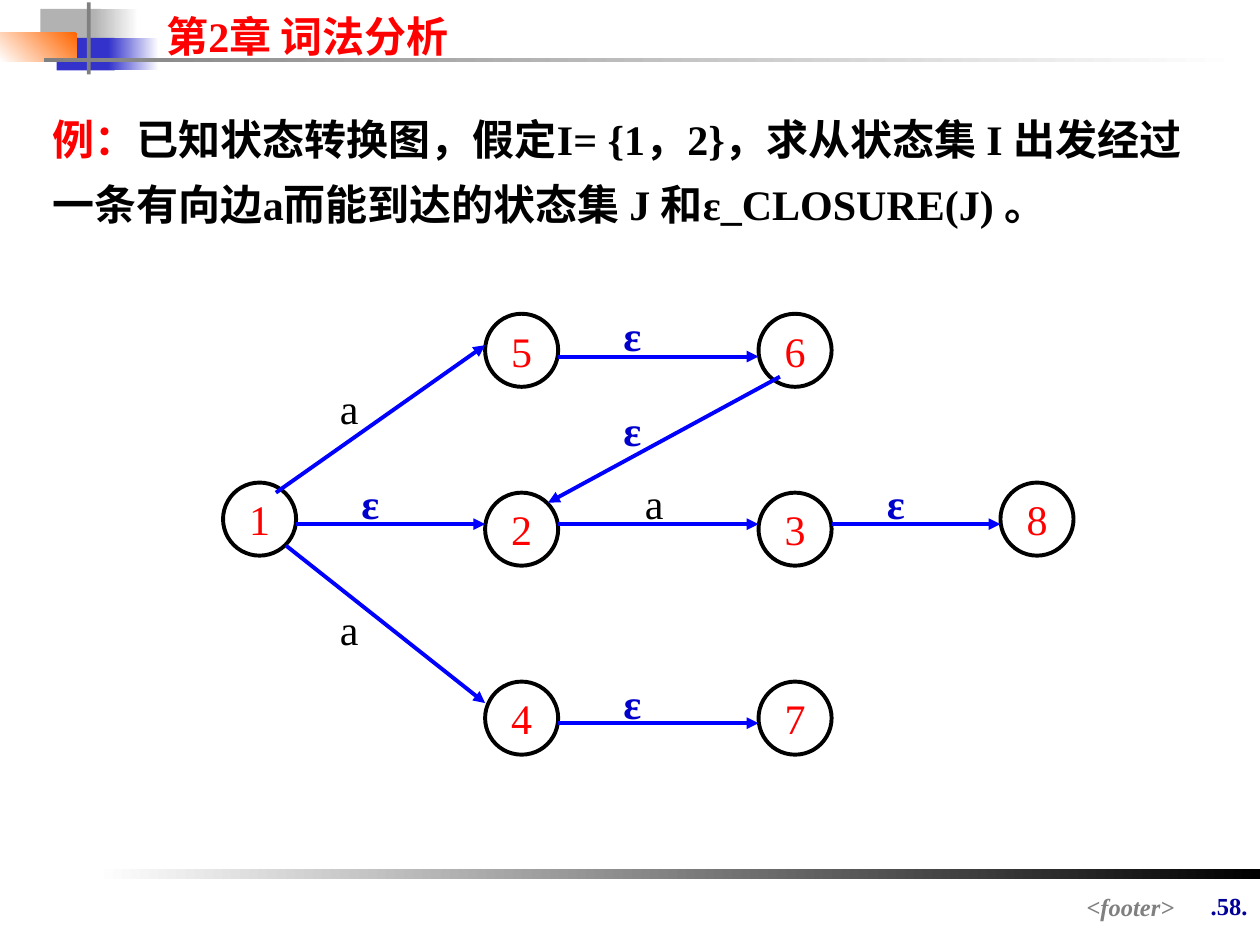
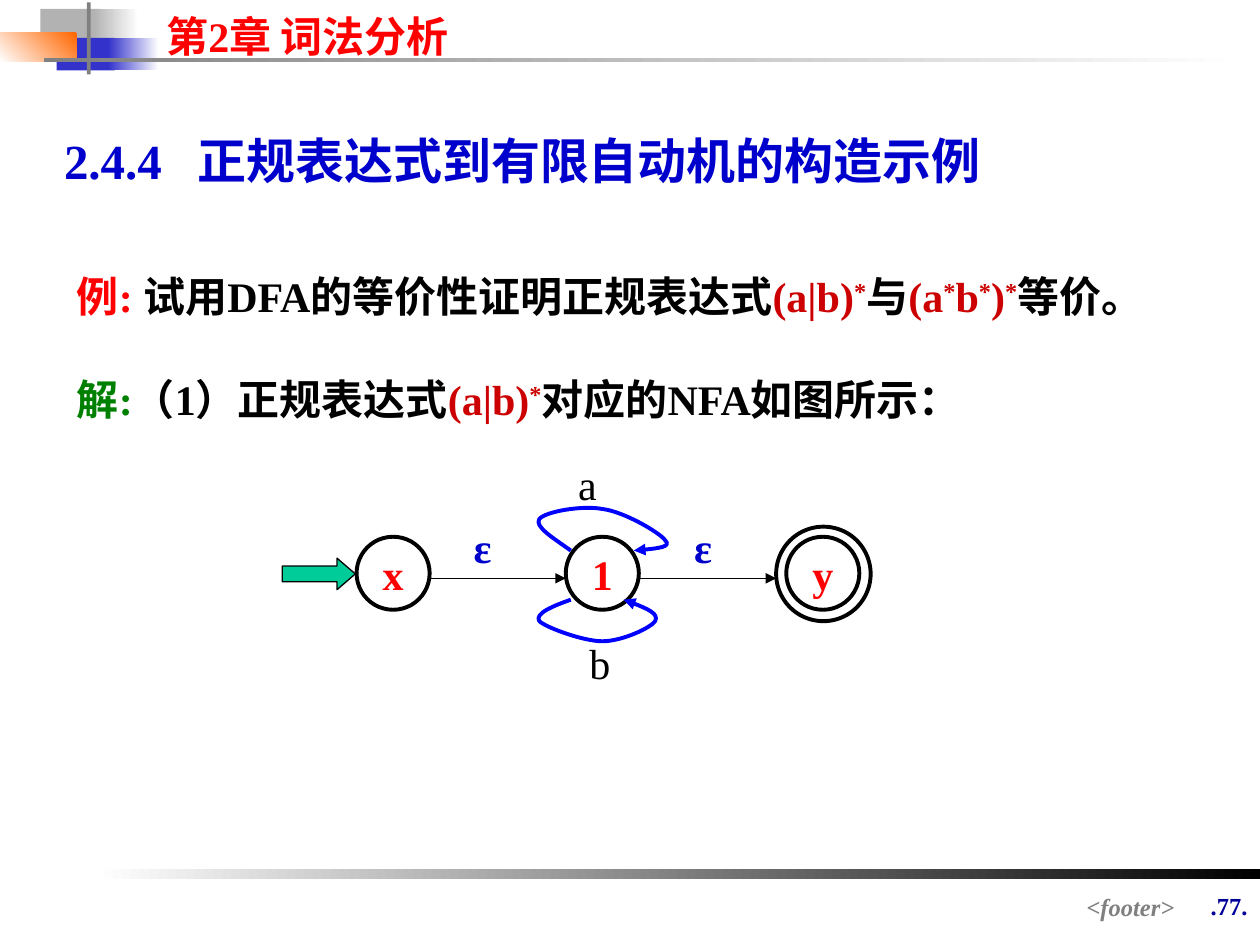
from itertools import groupby

from lxml.etree import SubElement
from pptx import Presentation
from pptx.dml.color import RGBColor
from pptx.enum.shapes import MSO_CONNECTOR, MSO_SHAPE
from pptx.enum.text import MSO_ANCHOR, MSO_AUTO_SIZE, PP_ALIGN
from pptx.oxml.ns import qn
from pptx.util import Inches, Pt

FONT = "Times New Roman"
COLORS = {
    "black": "000000", "white": "FFFFFF", "red": "FF0000", "regex": "CC0000",
    "green": "008000", "edge": "0000FF", "heading": "0000CC", "number": "000099",
    "grey": "808080", "silver": "B2B2B2", "indigo": "3333CC",
    "orange": "FF6600", "start": "00CC99",
}
NODE = 0.58  # diameter of a state

# left, top, width, height, then one or two colours and the gradient angle
BANDS = [
    (0.32, 0.07, 0.48, 0.26, "silver"),
    (0.74, 0.07, 0.36, 0.26, "white", "silver", 180),
    (0.45, 0.3, 0.46, 0.26, "indigo"),
    (0.86, 0.3, 0.4, 0.26, "white", "indigo", 180),
    (0, 0.26, 0.61, 0.23, "orange", "white", 225),
    (0.69, 0.02, 0.03, 0.57, "grey"),
    (0.35, 0.46, 9.51, 0.03, "white", "grey", 180),
    (0.75, 6.9, 9.25, 0.08, "black", "white", 180),
]


def color(name):
    return RGBColor.from_string(COLORS[name])


def write(para, text, fill="black", size=24, bold=False, italic=False, raised=False):
    """Append one formatted span to a paragraph."""
    span = para.add_run()
    span.text = text
    font = span.font
    font.name, font.size, font.bold, font.italic = FONT, Pt(size), bold, italic
    font.color.rgb = color(fill)
    if raised:
        span.font._element.set("baseline", "30000")


def write_regex(para, expression):
    """Write a regular expression with its stars raised."""
    for is_star, letters in groupby(expression, lambda letter: letter == "*"):
        write(para, "".join(letters), fill="regex", bold=True, raised=is_star)


def add_text(page, text, left, top, width, height, align=PP_ALIGN.LEFT, wrap=True, **style):
    box = page.shapes.add_textbox(Inches(left), Inches(top), Inches(width), Inches(height))
    box.text_frame.word_wrap = wrap
    para = box.text_frame.paragraphs[0]
    para.alignment = align
    write(para, text, **style)
    return para


def place(holder, left, top, width, height):
    """Move a placeholder and return its text frame, set plain."""
    holder.left, holder.top = Inches(left), Inches(top)
    holder.width, holder.height = Inches(width), Inches(height)
    frame = holder.text_frame
    frame.word_wrap = True
    frame.auto_size = MSO_AUTO_SIZE.NONE
    frame.vertical_anchor = MSO_ANCHOR.TOP
    return frame


def plain_paragraph(para, space_before=0, line_spacing=1.0):
    """Drop the bullet and indent of a body paragraph."""
    properties = para._p.get_or_add_pPr()
    properties.set("marL", "0")
    properties.set("indent", "0")
    SubElement(properties, qn("a:buNone"))
    para.alignment = PP_ALIGN.LEFT
    para.space_before = Pt(space_before)
    para.line_spacing = line_spacing
    return para


def add_shape(page, kind, left, top, width, height):
    shape = page.shapes.add_shape(
        kind, Inches(left), Inches(top), Inches(width), Inches(height))
    shape.shadow.inherit = False
    return shape


def set_line(line, name, width):
    line.color.rgb = color(name)
    line.width = Pt(width)


def add_arrowhead(line):
    SubElement(line._get_or_add_ln(), qn("a:tailEnd"), type="triangle")


def add_band(page, left, top, width, height, first, last=None, angle=0):
    band = add_shape(page, MSO_SHAPE.RECTANGLE, left, top, width, height)
    band.line.fill.background()
    if last is None:
        band.fill.solid()
        band.fill.fore_color.rgb = color(first)
        return
    band.fill.gradient()
    band.fill.gradient_angle = angle
    for stop, name in zip(band.fill.gradient_stops, (first, last)):
        stop.color.rgb = color(name)


def add_ring(page, left, top, diameter):
    ring = add_shape(page, MSO_SHAPE.OVAL, left, top, diameter, diameter)
    ring.fill.background()
    set_line(ring.line, "black", 2.25)
    return ring


def add_state(page, name, left, top, bold=False):
    frame = add_ring(page, left, top, NODE).text_frame
    frame.word_wrap = False
    para = frame.paragraphs[0]
    para.alignment = PP_ALIGN.CENTER
    write(para, name, fill="red", bold=bold)


def add_edge(page, start, end, fill="edge", width=2.25):
    edge = page.shapes.add_connector(
        MSO_CONNECTOR.STRAIGHT, *(Inches(value) for value in start + end))
    set_line(edge.line, fill, width)
    add_arrowhead(edge.line)
    SubElement(edge._element.spPr, qn("a:effectLst"))


def add_loop(page, start, *points):
    """Draw an arrow of cubic curves: two handles and an anchor for each."""
    builder = page.shapes.build_freeform(Inches(start[0]), Inches(start[1]))
    builder.add_line_segments([(Inches(x), Inches(y)) for x, y in points], close=False)
    loop = builder.convert_to_shape()
    segments = list(loop._element.iter(qn("a:lnTo")))
    outline = segments[0].getparent()
    for index in range(0, len(segments), 3):
        curve = SubElement(outline, qn("a:cubicBezTo"))
        for segment in segments[index:index + 3]:
            curve.append(segment[0])
            outline.remove(segment)
    loop.shadow.inherit = False
    loop.fill.background()
    set_line(loop.line, "edge", 2.25)
    add_arrowhead(loop.line)


def add_label(page, symbol, left, top, width=0.5):
    if symbol == "ε":
        add_text(page, symbol, left, top, width, 0.5, fill="heading", bold=True)
    else:
        add_text(page, symbol, left, top, width, 0.5)


def add_page(deck, number):
    """Add a slide with the shared bands, chapter title and footer."""
    page = deck.slides.add_slide(deck.slide_layouts[1])
    for band in BANDS:
        add_band(page, *band)
    title = place(page.shapes.title, 1.22, 0.03, 3.15, 0.5).paragraphs[0]
    title.alignment = PP_ALIGN.LEFT
    write(title, "第2章 词法分析", fill="red", bold=True)
    add_text(page, f".{number}.", 9.33, 7.02, 0.67, 0.57, align=PP_ALIGN.RIGHT,
             fill="number", size=14, bold=True)
    add_text(page, "<footer>", 2.64, 7.03, 6.78, 0.26, align=PP_ALIGN.RIGHT,
             fill="grey", size=14, bold=True, italic=True)
    return page


def add_closure_page(deck):
    page = add_page(deck, 58)
    body = place(page.placeholders[1], 0.32, 0.73, 9.48, 1.14)
    para = plain_paragraph(body.paragraphs[0], line_spacing=1.3)
    write(para, "例：", fill="red", bold=True)
    write(para, "已知状态转换图，假定I= {1，2}，求从状态集 I 出发经过一条有向边a"
                "而能到达的状态集 J 和ε_CLOSURE(J) 。", bold=True)

    second, third = 3.85, 6.02
    states = {
        "1": (1.77, 3.83), "5": (second, 2.49), "2": (second, 3.91), "4": (second, 5.41),
        "6": (third, 2.49), "3": (third, 3.91), "7": (third, 5.41), "8": (7.94, 3.83),
    }
    for name, corner in states.items():
        add_state(page, name, *corner)

    for source, target, height in [("1", "2", 4.16), ("2", "3", 4.16), ("3", "8", 4.16),
                                   ("5", "6", 2.83), ("4", "7", 5.74)]:
        add_edge(page, (states[source][0] + NODE, height), (states[target][0], height))
    add_edge(page, (2.19, 3.91), (second, 2.74))
    add_edge(page, (2.27, 4.33), (second, 5.58))
    add_edge(page, (6.19, 2.99), (4.35, 3.99))

    for symbol, left, top in [
        ("a", 2.6, 2.99), ("a", 2.6, 4.74), ("a", 5.02, 3.74),
        ("ε", 2.77, 3.74), ("ε", 6.94, 3.74),
        ("ε", 4.85, 2.41), ("ε", 4.85, 3.16), ("ε", 4.85, 5.33),
    ]:
        add_label(page, symbol, left, top)


def add_equivalence_page(deck):
    page = add_page(deck, 77)
    heading = add_text(page, "2.4.4\t正规表达式到有限自动机的构造示例", 0.41, 0.99, 7.48, 0.57,
                       wrap=False, fill="heading", size=28, bold=True)
    tabs = SubElement(heading._p.get_or_add_pPr(), qn("a:tabLst"))
    SubElement(tabs, qn("a:tab"), pos=str(Inches(1.06)), algn="l")

    body = place(page.placeholders[1], 0.51, 2.1, 8.9, 1.72)
    problem = plain_paragraph(body.paragraphs[0])
    write(problem, "例: ", fill="red", bold=True)
    write(problem, "试用DFA的等价性证明正规表达式", bold=True)
    write_regex(problem, "(a|b)*")
    write(problem, "与", bold=True)
    write_regex(problem, "(a*b*)*")
    write(problem, "等价。", bold=True)
    answer = plain_paragraph(body.add_paragraph(), space_before=30)
    write(answer, "解:", fill="green", bold=True)
    write(answer, "（1）正规表达式", bold=True)
    write_regex(answer, "(a|b)*")
    write(answer, "对应的NFA如图所示：", bold=True)

    for name, left in [("x", 2.83), ("1", 4.49), ("y", 6.24)]:
        add_state(page, name, left, 4.26, bold=True)
    add_ring(page, 6.16, 4.18, 0.75)
    add_loop(page, (4.53, 4.76),
             (4.39, 4.81), (4.24, 4.87), (4.28, 4.93),
             (4.33, 4.98), (4.63, 5.09), (4.78, 5.09),
             (4.94, 5.09), (5.17, 4.98), (5.2, 4.93),
             (5.23, 4.87), (5.09, 4.81), (4.95, 4.76))
    add_loop(page, (4.53, 4.37),
             (4.39, 4.27), (4.24, 4.18), (4.28, 4.12),
             (4.33, 4.06), (4.62, 4.01), (4.78, 4.04),
             (4.95, 4.06), (5.24, 4.23), (5.28, 4.29),
             (5.33, 4.34), (5.18, 4.36), (5.03, 4.37))
    for symbol, left, top in [("ε", 3.66, 4.09), ("ε", 5.41, 4.09),
                              ("a", 4.49, 3.59), ("b", 4.58, 5.01)]:
        add_label(page, symbol, left, top, width=0.42)

    entry = add_shape(page, MSO_SHAPE.RIGHT_ARROW, 2.24, 4.43, 0.58, 0.25)
    entry.adjustments[1] = 0.58
    entry.fill.solid()
    entry.fill.fore_color.rgb = color("start")
    set_line(entry.line, "black", 0.75)
    for left in (3.41, 5.08):
        add_edge(page, (left, 4.59), (left + 1.08, 4.59), fill="black", width=0.75)


def main():
    deck = Presentation()
    deck.slide_width, deck.slide_height = Inches(10), Inches(7.5)
    add_closure_page(deck)
    add_equivalence_page(deck)
    deck.save("out.pptx")


if __name__ == "__main__":
    main()
